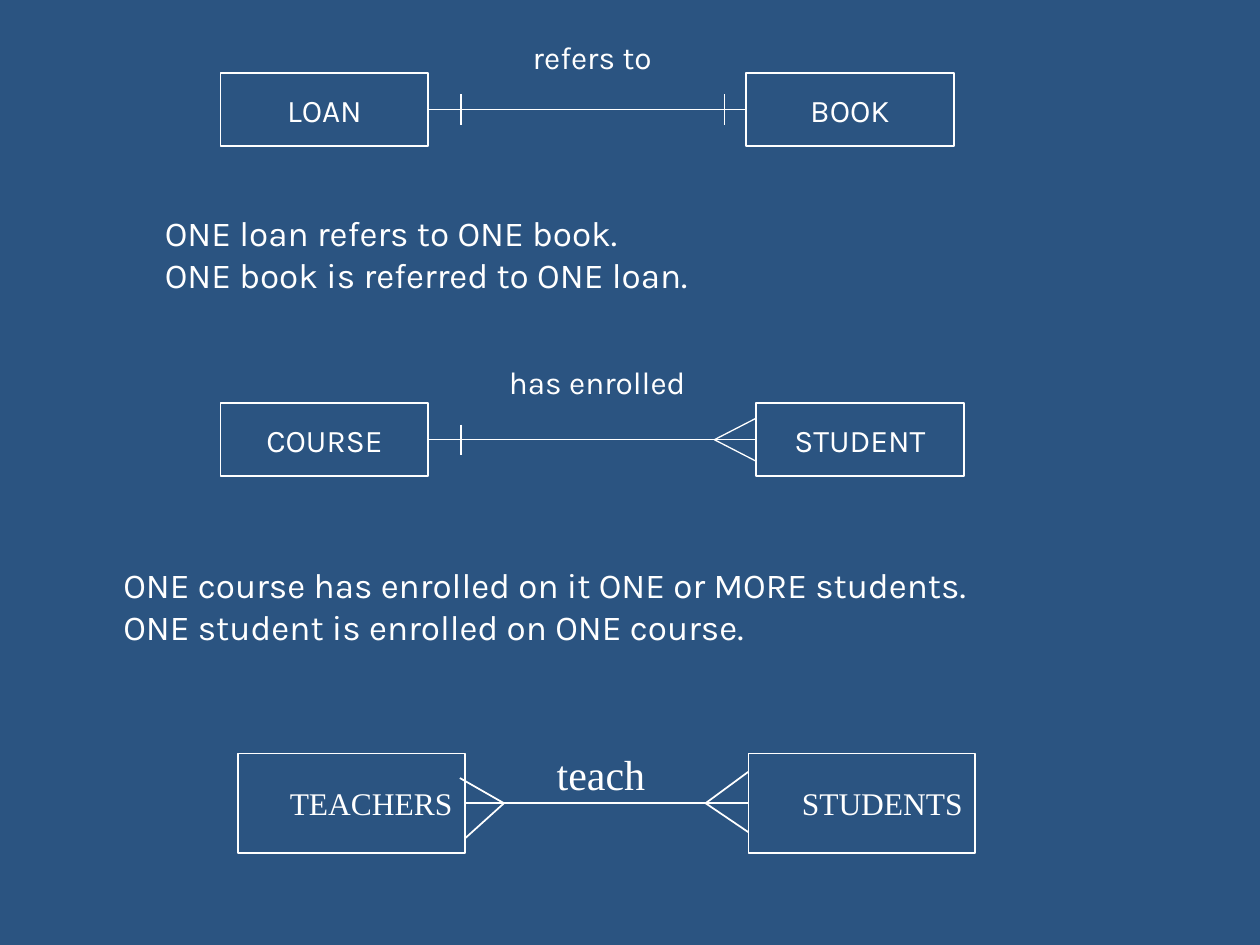
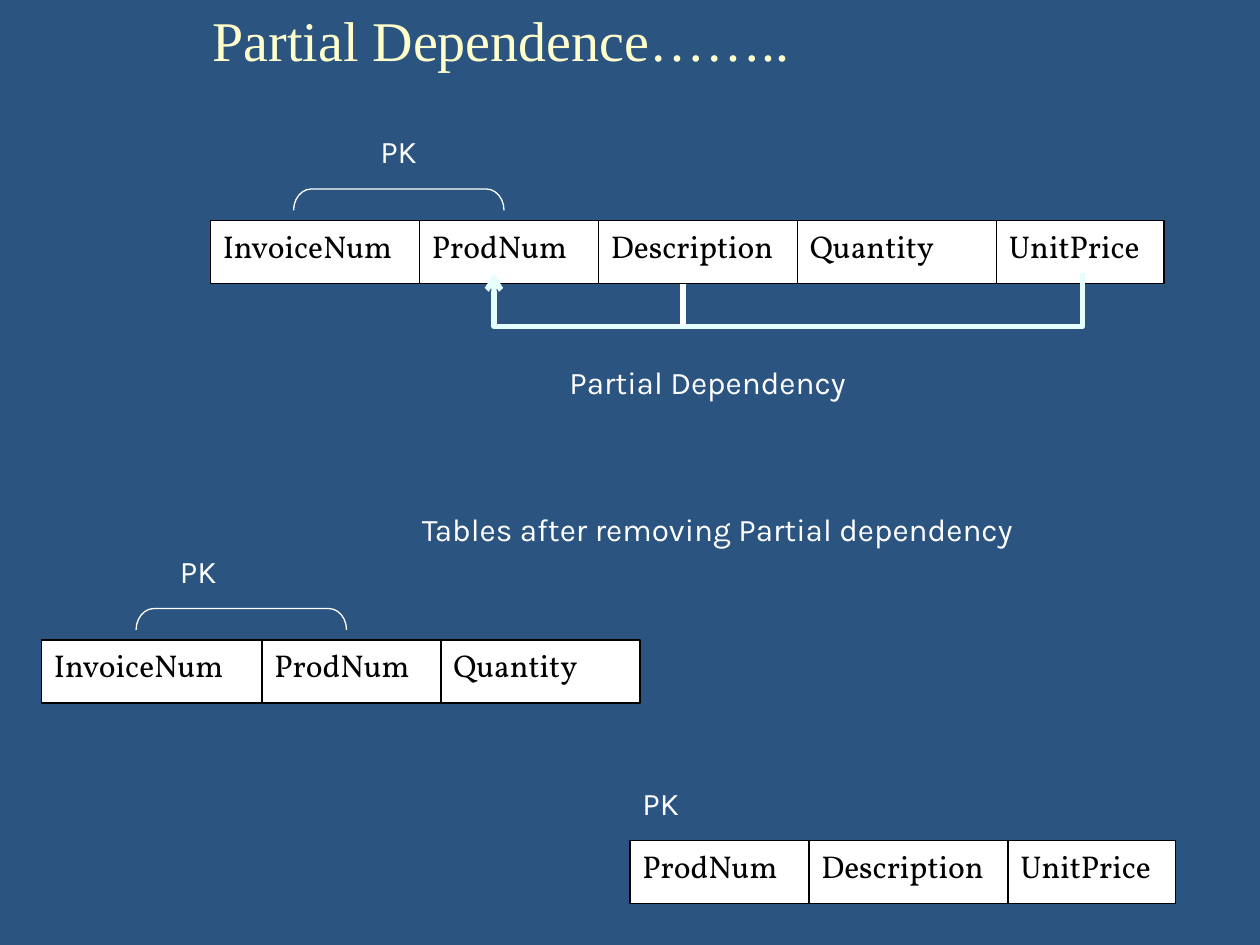
from lxml.etree import SubElement
from pptx import Presentation
from pptx.dml.color import RGBColor
from pptx.enum.shapes import MSO_CONNECTOR, MSO_SHAPE
from pptx.enum.text import MSO_ANCHOR, PP_ALIGN
from pptx.oxml.ns import qn
from pptx.util import Inches, Pt

BLUE = RGBColor(0x2B, 0x54, 0x81)
WHITE = RGBColor(0xFF, 0xFF, 0xFF)
BLACK = RGBColor(0, 0, 0)
CREAM = RGBColor(0xFF, 0xFF, 0xCC)
AQUA = RGBColor(0xE5, 0xFF, 0xFF)
SANS, SERIF, BOOK = "Karla", "Times New Roman", "Vollkorn"
WIDTHS = {"InvoiceNum": 1.75, "ProdNum": 1.42, "Description": 1.58,
          "Quantity": 1.58, "UnitPrice": 1.33}


def write(shape, text, font=SANS, size=18, color=WHITE, align=PP_ALIGN.LEFT,
          anchor=MSO_ANCHOR.TOP, wrap=False):
    frame = shape.text_frame
    frame.word_wrap = wrap
    frame.vertical_anchor = anchor
    frame.text = text
    for para in frame.paragraphs:
        para.alignment = align
        para.font.name = font
        para.font.size = Pt(size)
        para.font.color.rgb = color


def label(slide, box, text, **style):
    write(slide.shapes.add_textbox(*map(Inches, box)), text, **style)


def block(slide, box, fill=BLUE, line=WHITE, width=1, kind=MSO_SHAPE.RECTANGLE):
    shape = slide.shapes.add_shape(kind, *map(Inches, box))
    shape.shadow.inherit = False
    if fill is None:
        shape.fill.background()
    else:
        shape.fill.solid()
        shape.fill.fore_color.rgb = fill
    shape.line.color.rgb = line
    shape.line.width = Pt(width)
    return shape


def stroke(slide, start, end, width=1, color=WHITE):
    line = slide.shapes.add_connector(
        MSO_CONNECTOR.STRAIGHT, *map(Inches, (*start, *end)))
    line.line.color.rgb = color
    line.line.width = Pt(width)
    SubElement(line._element.spPr, qn("a:effectLst"))
    return line


def relate(slide, left, right, top, size, names, width, **style):
    wide, high = size
    mid = top + high / 2
    pair = []
    for x, name in zip((left, right), names):
        shape = block(slide, (x, top, wide, high))
        write(shape, name, anchor=MSO_ANCHOR.MIDDLE, **style)
        pair.append(shape)
    link = stroke(slide, (left + wide, mid), (right, mid), width)
    link.begin_connect(pair[0], 3)
    link.end_connect(pair[1], 1)
    return mid


def tick(slide, x, mid):
    stroke(slide, (x, mid - 0.12), (x, mid + 0.12))


def fork(slide, tip, mid, toes, width=1):
    for x, rise in toes:
        stroke(slide, (tip, mid), (x, mid + rise), width)


def models(slide):
    size = (1.65, 0.58)
    center = {"align": PP_ALIGN.CENTER}
    mid = relate(slide, 1.75, 5.92, 0.58, size, ("LOAN", "BOOK"), 0.75, **center)
    for x in (3.66, 5.75):
        tick(slide, x, mid)
    label(slide, (4.13, 0.25, 1.2, 0.4), "refers to")
    label(slide, (1.21, 1.63, 4.66, 0.76),
          "ONE loan refers to ONE book.\nONE book is referred to ONE loan.", size=20)

    mid = relate(slide, 1.75, 6, 3.2, size, ("COURSE", "STUDENT"), 0.75, **center)
    tick(slide, 3.66, mid)
    fork(slide, 5.67, mid, ((6, -0.17), (6, 0.17)), 0.75)
    label(slide, (3.94, 2.83, 1.65, 0.4), "has enrolled")
    label(slide, (0.88, 4.42, 7.25, 0.76),
          "ONE course has enrolled on it ONE or MORE students.\n"
          "ONE student is enrolled on ONE course.", size=20)

    mid = relate(slide, 1.89, 5.94, 5.98, (1.8, 0.79), ("TEACHERS", "STUDENTS"), 1,
                 font=SERIF, align=PP_ALIGN.RIGHT)
    fork(slide, 4, mid, ((3.65, -0.2), (3.69, 0.28)))
    fork(slide, 5.6, mid, ((5.94, -0.25), (5.94, 0.23)))
    label(slide, (4.32, 5.89, 0.9, 0.5), "teach", font=SERIF, size=24)


def record(slide, left, top, names, first=None):
    for name in names:
        wide = first or WIDTHS[name]
        first = None
        cell = block(slide, (left, top, wide, 0.5), WHITE, BLACK, 0.75)
        write(cell, name, font=BOOK, color=BLACK, wrap=True)
        left += wide


def brace(slide, left, top, wide=1.67, high=0.17):
    box = (left + (wide - high) / 2, top - (wide - high) / 2, high, wide)
    shape = block(slide, box, None, width=0.75, kind=MSO_SHAPE.LEFT_BRACKET)
    shape.rotation = 90
    shape.adjustments[0] = 0.83


def depend(slide, left, top, wide, high, stub):
    right, base = left + wide, top + high
    start, *rest = [(Inches(x), Inches(y)) for x, y in
                    ((right, top), (right, base), (left, base), (left, top))]
    path = slide.shapes.build_freeform(*start)
    path.add_line_segments(rest, close=False)
    shape = path.convert_to_shape()
    shape.shadow.inherit = False
    shape.fill.background()
    shape.line.color.rgb = AQUA
    shape.line.width = Pt(3)
    SubElement(shape.line._get_or_add_ln(), qn("a:tailEnd"), type="arrow")
    stroke(slide, (left + stub, top + 0.08), (left + stub, base), 3)


def partial(slide):
    label(slide, (0, 0, 7.96, 0.62), "Partial Dependence……..", font=SERIF, size=32,
          color=CREAM, align=PP_ALIGN.CENTER, anchor=MSO_ANCHOR.MIDDLE, wrap=True)
    record(slide, 1.67, 1.75, WIDTHS, first=1.66)
    record(slide, 0.33, 5.08, ("InvoiceNum", "ProdNum", "Quantity"))
    record(slide, 5, 6.67, ("ProdNum", "Description", "UnitPrice"))
    depend(slide, 3.92, 2.17, 4.67, 0.42, stub=1.5)
    brace(slide, 2.33, 1.5)
    brace(slide, 1.08, 4.83)
    for x, y in ((2.92, 1), (1.33, 4.33), (5, 6.17)):
        label(slide, (x, y, 1.17, 0.4), "PK", wrap=True)
    label(slide, (4.42, 2.83, 3.08, 0.4), "Partial Dependency", wrap=True)
    label(slide, (3.25, 4, 4.92, 0.7), "Tables after removing Partial dependency",
          wrap=True)


def main():
    deck = Presentation()
    deck.slide_width, deck.slide_height = Inches(10), Inches(7.5)
    fill = deck.slide_master.background.fill
    fill.solid()
    fill.fore_color.rgb = BLUE
    for draw in (models, partial):
        draw(deck.slides.add_slide(deck.slide_layouts[6]))
    deck.save("out.pptx")


if __name__ == "__main__":
    main()
